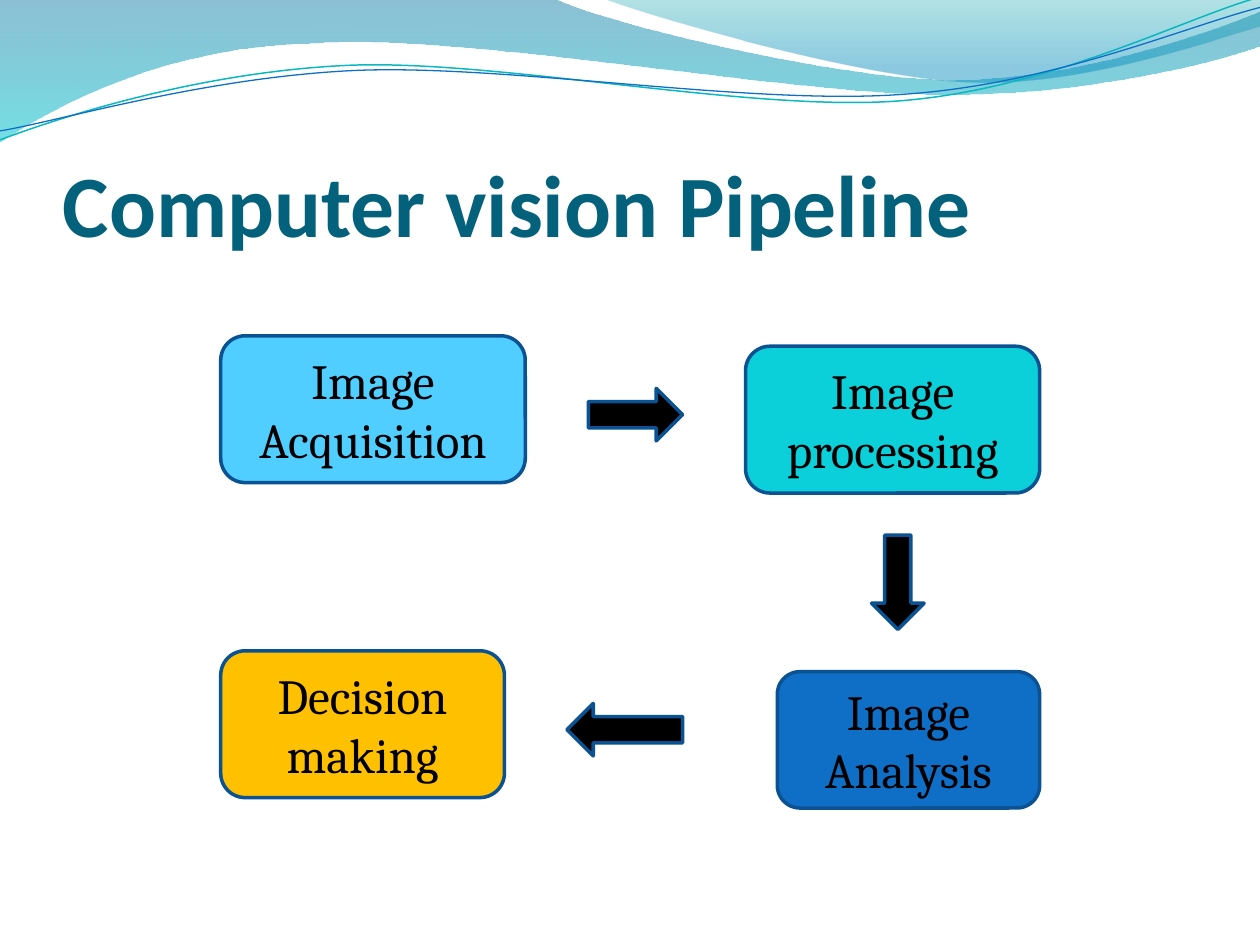
from lxml import etree
from pptx import Presentation
from pptx import util as u
from pptx.dml.color import RGBColor
from pptx.enum import shapes, text
from pptx.oxml.ns import qn

COLORS = {
    "title": "04617B", "ink": "000000", "outline": "0B5292",
    "acquisition": "4FCEFF", "processing": "0BD0D9",
    "analysis": "0F6FC6", "decision": "FFC000",
    "band_top": "0074A1", "band_bottom": "00C6CF",
    "sheet_top": "00A1A9", "sheet_bottom": "008BBF",
    "teal_line": "0AB8BF", "blue_line": "0F6FC6",
}
LINE_TILT = -2.7

# Wave outlines in cm: a pair is a straight step, six numbers a Bézier curve
BAND = [(0, 0), (11.18, -0.03),
        (12.09, 0.43, 16.87, 1.6, 19.25, 1.6),
        (21.67, 1.6, 24.33, 0.66, 25.4, 0.23), (25.43, 0.91),
        (24.97, 1.12, 22.1, 1.93, 18.95, 1.9),
        (15.8, 1.9, 9.7, 0.71, 6.53, 0.86),
        (3.28, 0.91, 1.17, 2.11, -0.03, 2.87)]
SHEET = [(12.17, -0.03), (12.93, 0.28, 17.32, 1.57, 19.53, 1.65),
         (21.74, 1.75, 24.41, 0.81, 25.4, 0.53), (25.4, 0)]
# The two lines are given level and tilted afterwards
TEAL_LINE = [(-0.05, 2.22), (1.19, 1.82, 4.02, 1.04, 7.05, 1.05),
             (10.05, 1.07, 15.02, 2.37, 18.08, 2.29),
             (21.13, 2.2, 23.86, 0.91, 25.41, 0.55)]
BLUE_LINE = [(-0.04, 2.04), (1.16, 1.9, 4.17, 1.15, 7.2, 1.16),
             (10.25, 1.18, 15.13, 2.25, 18.19, 2.16),
             (21.22, 2.1, 23.93, 1.06, 25.45, 0.75)]

# Pipeline parts: left, top, width, height in cm within the pipeline region
STEPS = [
    ("acquisition", ["Image Acquisition"], (0, 0, 6.14, 2.96)),
    ("processing", ["Image", "processing"], (10.58, 0.21, 5.93, 2.96)),
    ("analysis", ["Image", "Analysis"], (11.22, 6.77, 5.29, 2.75)),
    ("decision", ["Decision making"], (0, 6.35, 5.72, 2.96)),
]
ARROWS = [
    (shapes.MSO_SHAPE.RIGHT_ARROW, (7.41, 1.06, 1.9, 1.06)),
    (shapes.MSO_SHAPE.DOWN_ARROW, (13.12, 4.02, 1.06, 1.9)),
    (shapes.MSO_SHAPE.LEFT_ARROW, (6.98, 7.41, 2.33, 1.06)),
]


def rgb(name):
    return RGBColor.from_string(COLORS[name])


def add_outline(s, box, outline, close):
    """Build a freeform through the end points, then bend its curved steps."""
    left, top = u.Cm(box[0]), u.Cm(box[1])
    ends = [(left + u.Cm(part[-2]), top + u.Cm(part[-1])) for part in outline]
    fb = s.shapes.build_freeform(*ends[0])
    fb.add_line_segments(ends[1:], close=close)
    sp = fb.convert_to_shape()
    sp.shadow.inherit = False
    steps = list(sp.element.spPr.iter(qn("a:lnTo")))
    for step, part in zip(steps, outline[1:]):
        if len(part) == 2:
            continue
        curve = etree.Element(qn("a:cubicBezTo"))
        for x, y in zip(part[::2], part[1::2]):
            etree.SubElement(curve, qn("a:pt"), x=str(left + u.Cm(x) - sp.left),
                             y=str(top + u.Cm(y) - sp.top))
        step.getparent().replace(step, curve)
    return sp


def add_run(p, content, font, size, color, bold=False):
    r = p.add_run()
    r.text = content
    r.font.name, r.font.size, r.font.bold = font, u.Pt(size), bold
    r.font.color.rgb = rgb(color)


def add_waves(s, box):
    # Translucent gradient areas: colour, position, opacity in percent
    for outline, stops in (
        (BAND, [("band_top", 0, 45), ("band_bottom", 1, 55)]),
        (SHEET, [("sheet_top", 0, 30), ("sheet_bottom", 0.8, 45)]),
    ):
        sp = add_outline(s, box, outline, True)
        sp.line.fill.background()
        sp.fill.gradient()
        sp.fill.gradient_angle = 270
        for stop, (color, position, _) in zip(sp.fill.gradient_stops, stops):
            stop.color.rgb = rgb(color)
            stop.position = position
        for clr, (_, _, opacity) in zip(sp.element.spPr.iter(qn("a:srgbClr")), stops):
            etree.SubElement(clr, qn("a:alpha"), val=str(opacity * 1000))

    # Thin wave lines
    for outline, color, width in ((TEAL_LINE, "teal_line", 0.85),
                                  (BLUE_LINE, "blue_line", 0.75)):
        sp = add_outline(s, box, outline, False)
        sp.rotation = LINE_TILT
        sp.fill.background()
        sp.line.color.rgb = rgb(color)
        sp.line.width = u.Pt(width)


def add_title(s, box):
    tf = s.shapes.add_textbox(*map(u.Cm, box)).text_frame
    tf.word_wrap = True
    tf.vertical_anchor = text.MSO_ANCHOR.BOTTOM
    tf.margin_left = tf.margin_right = tf.margin_bottom = 0
    add_run(tf.paragraphs[0], "Computer vision Pipeline", "Calibri", 50, "title", True)


def add_block(s, kind, region, place, fill):
    left, top, width, height = place
    sp = s.shapes.add_shape(kind, u.Cm(region[0] + left), u.Cm(region[1] + top),
                            u.Cm(width), u.Cm(height))
    sp.shadow.inherit = False
    sp.fill.solid()
    sp.fill.fore_color.rgb = rgb(fill)
    sp.line.color.rgb = rgb("outline")
    sp.line.width = u.Pt(2)
    return sp


def add_pipeline(s, box):
    # Step boxes
    for fill, lines, place in STEPS:
        sp = add_block(s, shapes.MSO_SHAPE.ROUNDED_RECTANGLE, box, place, fill)
        tf = sp.text_frame
        tf.word_wrap = True
        tf.vertical_anchor = text.MSO_ANCHOR.MIDDLE
        for i, line in enumerate(lines):
            p = tf.add_paragraph() if i else tf.paragraphs[0]
            p.alignment = text.PP_ALIGN.CENTER
            add_run(p, line, "Cambria", 28, "ink")

    # Arrows between the steps
    for kind, place in ARROWS:
        add_block(s, kind, box, place, "ink")


def main():
    prs = Presentation()
    prs.slide_width, prs.slide_height = u.Cm(25.4), u.Cm(19.05)
    s = prs.slides.add_slide(prs.slide_layouts[6])
    add_waves(s, (0, 0, 25.4, 2.87))
    add_title(s, (1.27, 1.96, 22.86, 3.18))
    add_pipeline(s, (4.45, 6.77, 16.51, 9.52))
    prs.save("out.pptx")


if __name__ == "__main__":
    main()
